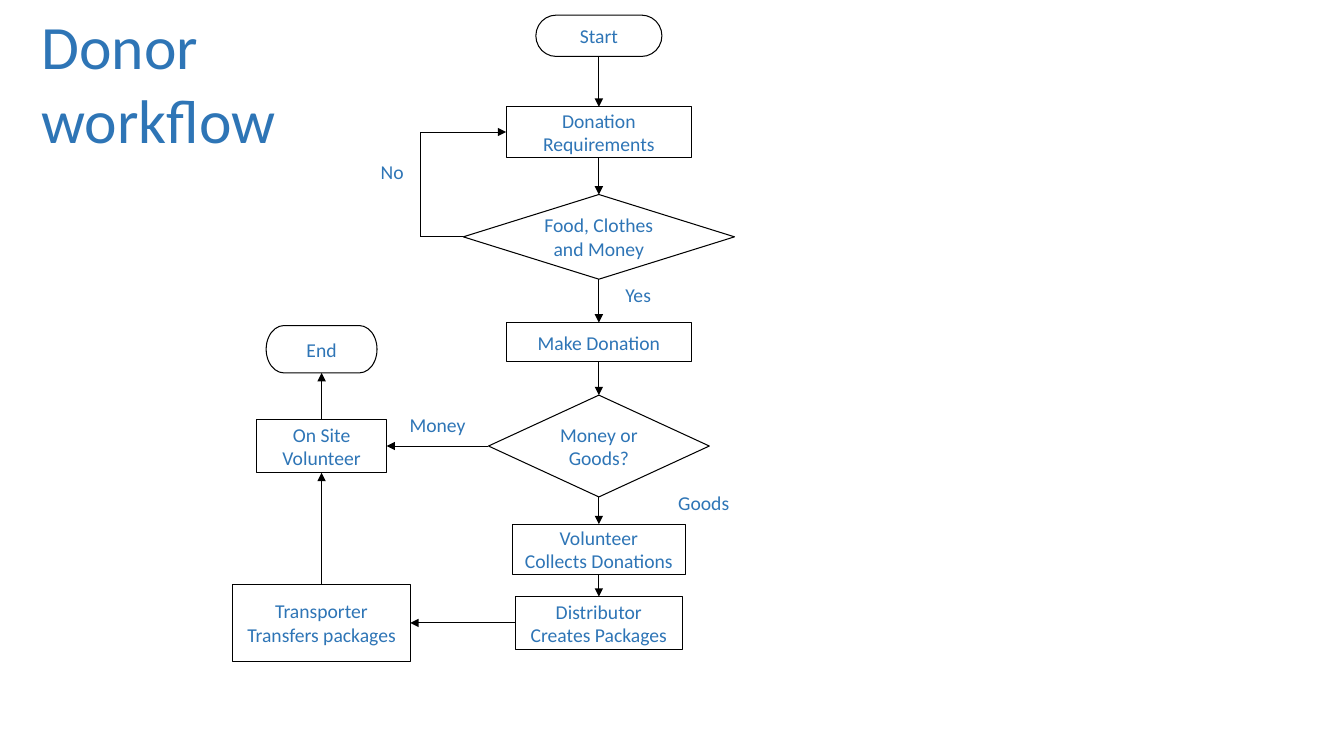
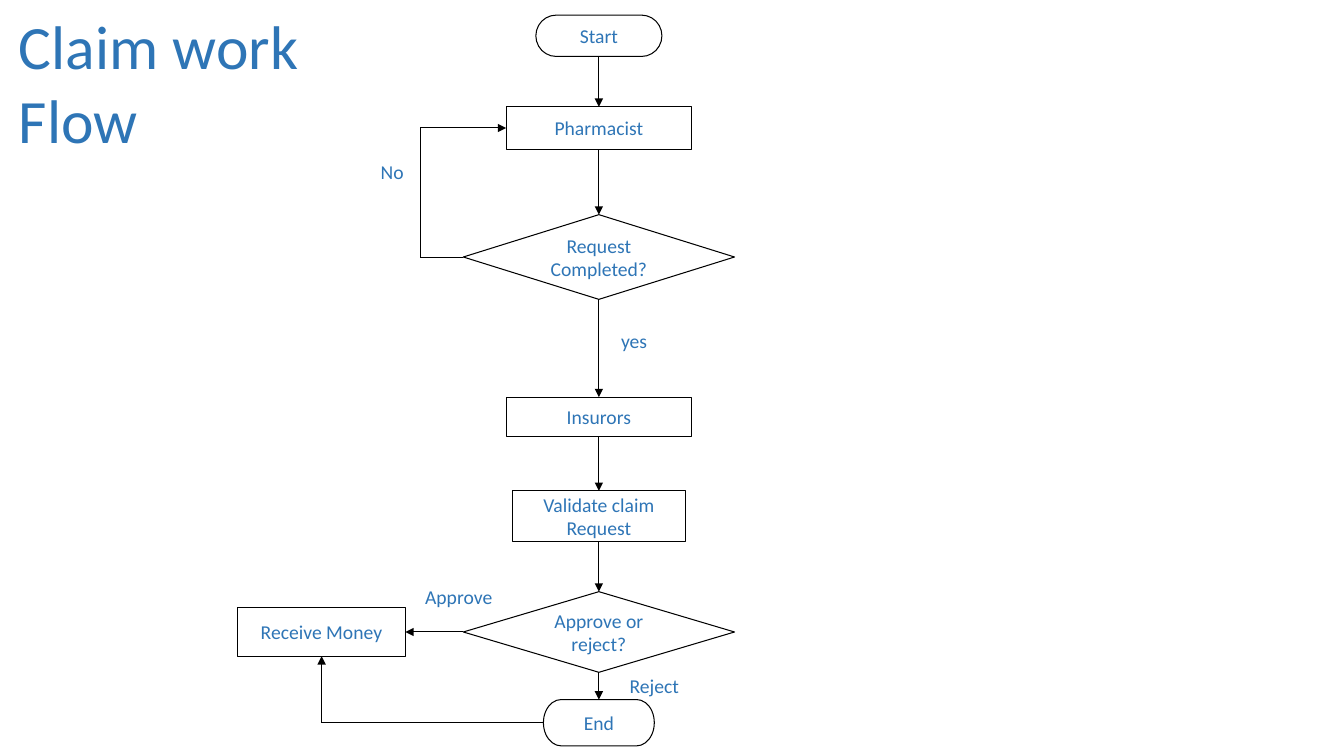
from dataclasses import dataclass

from lxml.etree import SubElement
from pptx import Presentation
from pptx.dml.color import RGBColor
from pptx.enum.shapes import MSO_CONNECTOR, MSO_SHAPE as Shape
from pptx.enum.text import MSO_ANCHOR, MSO_AUTO_SIZE, PP_ALIGN
from pptx.oxml.ns import qn
from pptx.util import Pt

PX = 9144  # 100 px to the inch
MAIN, SIDE = 594, 319  # centre lines of the two columns
LOOP = 417  # x of the "No" return line


@dataclass(frozen=True)
class Theme:
    font: str = "Calibri"
    text: RGBColor = RGBColor(0x2E, 0x75, 0xB6)
    line: RGBColor = RGBColor(0, 0, 0)
    title_size: int = 44
    body_size: int = 14
    line_width: float = 0.75
    title_box: tuple = (9, 2, 303, 158)
    label_height: int = 34


THEME = Theme()
TERMINAL, STEP = Shape.FLOWCHART_TERMINATOR, Shape.FLOWCHART_PROCESS
DECISION, BLOCK = Shape.FLOWCHART_DECISION, Shape.RECTANGLE
SITES = {"top": 0, "left": 1, "bottom": 2, "right": 3}

# Content: nodes are (kind, text, centre x, top, width, height),
# labels are (text, centre x, top, width), chain runs downwards,
# routes pass through node sides and (x, y) points.
FLOWS = [
    {
        "title": "Donor workflow",
        "title_indent": 22,
        "nodes": {
            "start": (TERMINAL, "Start", MAIN, 15, 125, 41),
            "needs": (STEP, "Donation\nRequirements", MAIN, 106, 184, 50),
            "kinds": (DECISION, "Food, Clothes and Money", MAIN, 193, 269, 84),
            "donate": (STEP, "Make Donation", MAIN, 320, 184, 39),
            "choice": (DECISION, "Money or Goods?", MAIN, 392, 219, 101),
            "collect": (STEP, "Volunteer\nCollects Donations", MAIN, 520, 171, 50),
            "pack": (STEP, "Distributor\nCreates Packages", MAIN, 592, 166, 52),
            "transfer": (BLOCK, "Transporter\nTransfers packages", SIDE, 580, 176, 76),
            "on_site": (BLOCK, "On Site Volunteer", SIDE, 416, 129, 53),
            "end": (TERMINAL, "End", SIDE, 323, 110, 47),
        },
        "labels": [
            ("No", 389, 153, 43),
            ("Yes", 633, 275, 46),
            ("Money", 434, 404, 85),
            ("Goods", 698, 482, 146),
        ],
        "chain": ["start", "needs", "kinds", "donate", "choice", "collect", "pack"],
        "routes": [
            [("kinds", "left"), (LOOP, 235), (LOOP, 131), ("needs", "left")],
            [("choice", "left"), ("on_site", "right")],
            [("pack", "left"), ("transfer", "right")],
            [("transfer", "top"), ("on_site", "bottom")],
            [("on_site", "top"), ("end", "bottom")],
        ],
    },
    {
        "title": "Claim work Flow",
        "title_indent": 0,
        "nodes": {
            "start": (TERMINAL, "Start", MAIN, 15, 125, 41),
            "pharmacist": (STEP, "Pharmacist", MAIN, 106, 184, 42),
            "complete": (DECISION, "Request Completed?", MAIN, 213, 269, 84),
            "insurors": (STEP, "Insurors", MAIN, 394, 184, 39),
            "validate": (STEP, "Validate claim Request", MAIN, 487, 171, 50),
            "verdict": (DECISION, "Approve or reject?", MAIN, 587, 269, 80),
            "end": (TERMINAL, "End", MAIN, 694, 110, 46),
            "receive": (BLOCK, "Receive Money", SIDE, 603, 166, 48),
        },
        "labels": [
            ("No", 389, 153, 43),
            ("yes", 629, 321, 46),
            ("Approve", 455, 575, 88),
            ("Reject", 649, 663, 70),
        ],
        "chain": ["start", "pharmacist", "complete", "insurors", "validate",
                  "verdict", "end"],
        "routes": [
            [("complete", "left"), (LOOP, 255), (LOOP, 127), ("pharmacist", "left")],
            [("verdict", "left"), ("receive", "right")],
            [("end", "left"), (SIDE, 717), ("receive", "bottom")],
        ],
    },
]


def write(shape, text, size, align):
    """Fill a shape with text in the shared style."""
    frame = shape.text_frame
    frame.text = text
    frame.vertical_anchor = MSO_ANCHOR.MIDDLE
    for para in frame.paragraphs:
        para.alignment = align
        for span in para.runs:
            span.font.name = THEME.font
            span.font.size = Pt(size)
            span.font.color.rgb = THEME.text
    return frame


def style_line(line):
    line.color.rgb = THEME.line
    line.width = Pt(THEME.line_width)


def add_title(page, text, indent):
    box = page.shapes.add_textbox(*(n * PX for n in THEME.title_box))
    frame = write(box, text, THEME.title_size, PP_ALIGN.LEFT)
    frame.word_wrap = True
    frame.margin_left += indent * PX


def add_node(page, kind, text, centre, top, width, height):
    left = centre * PX - width * PX // 2
    node = page.shapes.add_shape(kind, left, top * PX, width * PX, height * PX)
    node.shadow.inherit = False
    node.fill.background()
    style_line(node.line)
    frame = write(node, text, THEME.body_size, PP_ALIGN.CENTER)
    frame.word_wrap = True
    frame.margin_top = frame.margin_bottom = 0
    return node


def add_label(page, text, centre, top, width):
    left = centre * PX - width * PX // 2
    box = page.shapes.add_textbox(left, top * PX, width * PX,
                                  THEME.label_height * PX)
    frame = write(box, text, THEME.body_size, PP_ALIGN.CENTER)
    frame.word_wrap = False
    frame.auto_size = MSO_AUTO_SIZE.SHAPE_TO_FIT_TEXT


def locate(stop, nodes):
    """Return the slide position of a node side or a point."""
    if stop[0] not in nodes:
        return stop[0] * PX, stop[1] * PX
    node, side = nodes[stop[0]], stop[1]
    across = {"left": 0, "right": 2}.get(side, 1)
    down = {"top": 0, "bottom": 2}.get(side, 1)
    return (node.left + node.width * across // 2,
            node.top + node.height * down // 2)


def add_route(page, stops, nodes):
    """Join the stops with straight lines, the last one with an arrowhead."""
    for begin, end in zip(stops, stops[1:]):
        link = page.shapes.add_connector(
            MSO_CONNECTOR.STRAIGHT, *locate(begin, nodes), *locate(end, nodes))
        style_line(link.line)
        if begin[0] in nodes:
            link.begin_connect(nodes[begin[0]], SITES[begin[1]])
        if end[0] in nodes:
            link.end_connect(nodes[end[0]], SITES[end[1]])
        if end is stops[-1]:
            SubElement(link.line._get_or_add_ln(), qn("a:tailEnd"), type="triangle")
        SubElement(link._element.spPr, qn("a:effectLst"))


def build_flow(page, flow):
    add_title(page, flow["title"], flow["title_indent"])
    nodes = {name: add_node(page, *node) for name, node in flow["nodes"].items()}
    for label in flow["labels"]:
        add_label(page, *label)
    chain = flow["chain"]
    downward = [[(upper, "bottom"), (lower, "top")]
                for upper, lower in zip(chain, chain[1:])]
    for stops in downward + flow["routes"]:
        add_route(page, stops, nodes)


def main():
    deck = Presentation()
    deck.slide_width, deck.slide_height = 1333 * PX, 750 * PX
    for flow in FLOWS:
        build_flow(deck.slides.add_slide(deck.slide_layouts[6]), flow)
    deck.save("out.pptx")


if __name__ == "__main__":
    main()
